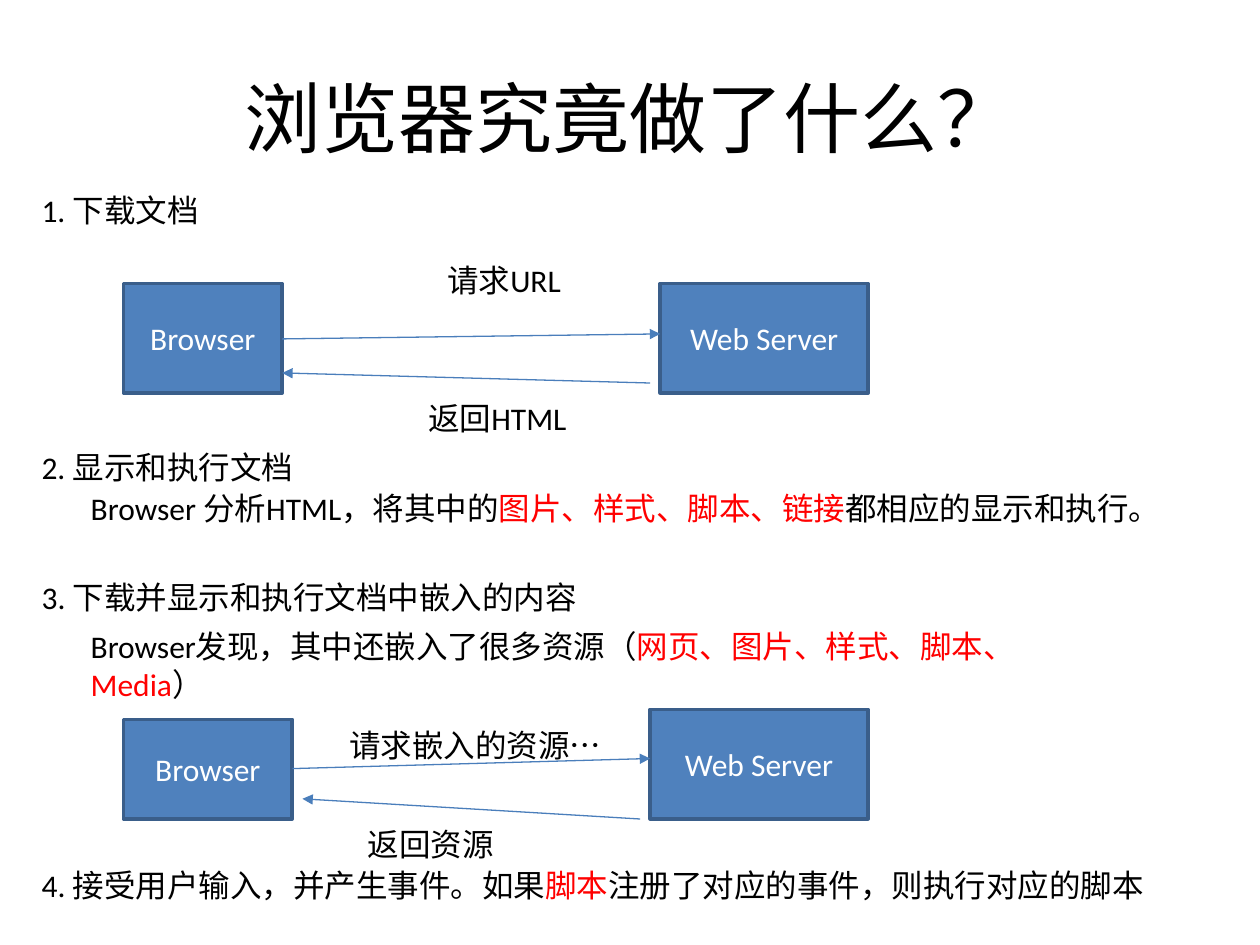
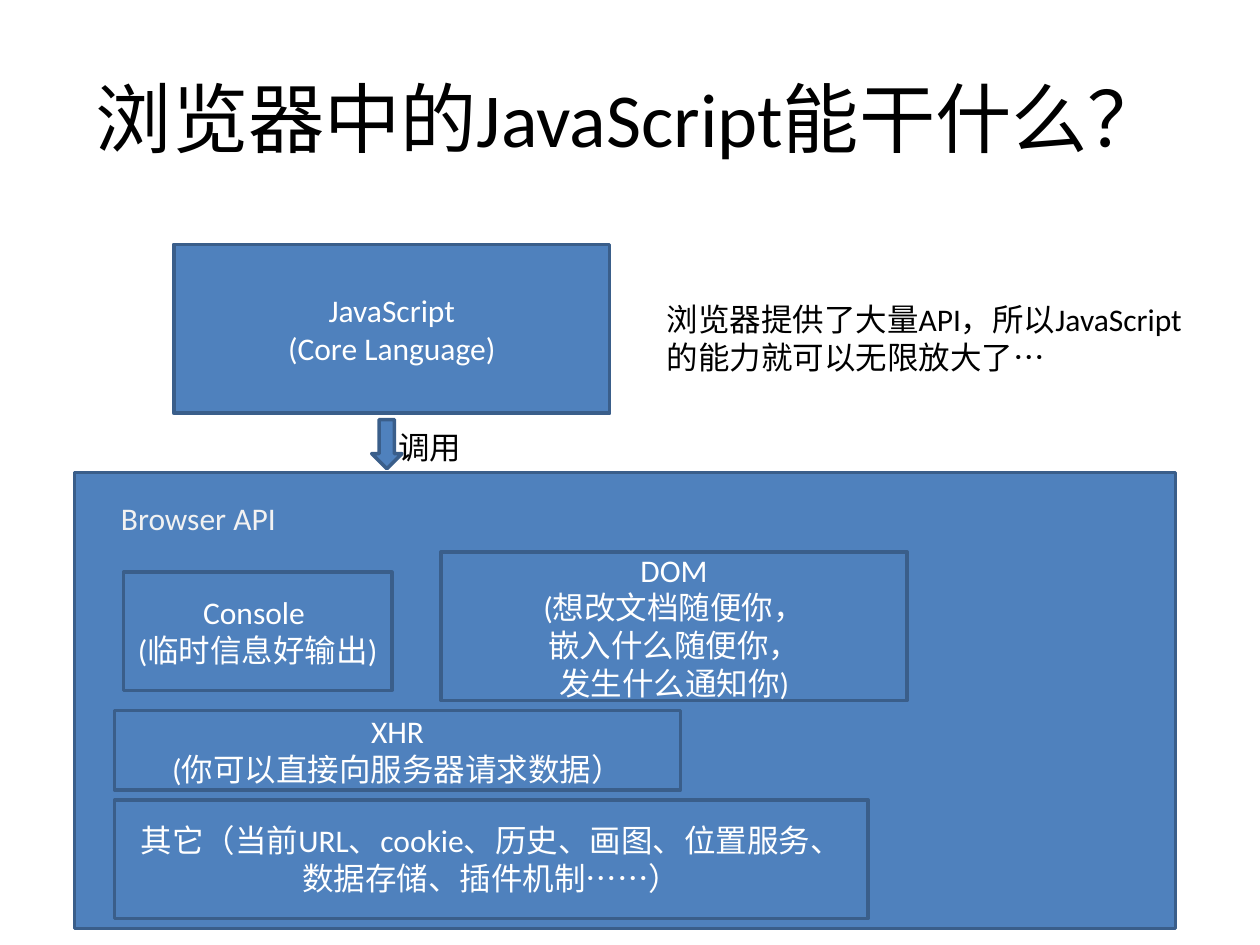
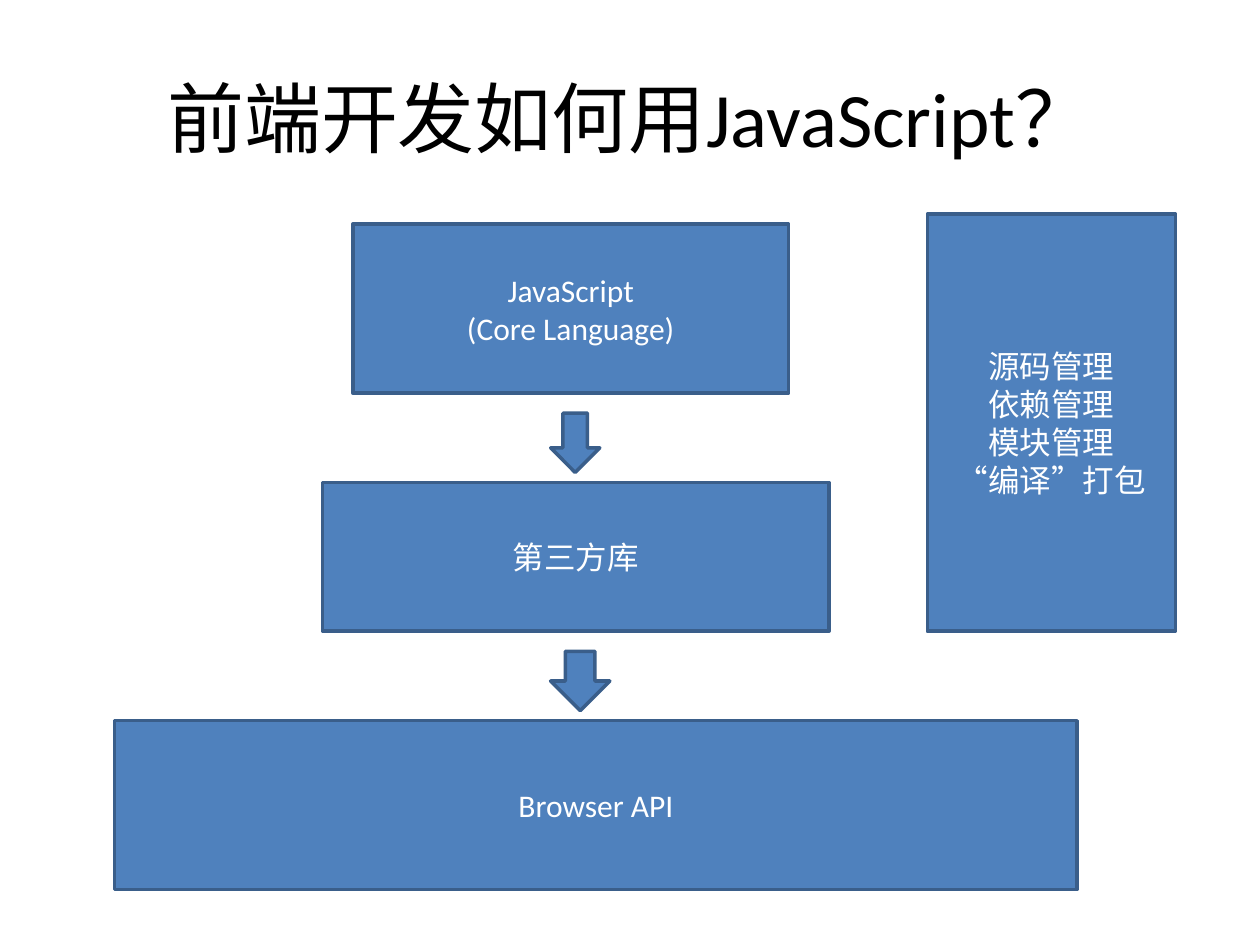
from lxml.etree import SubElement
from pptx import Presentation
from pptx.dml.color import RGBColor
from pptx.enum.shapes import MSO_CONNECTOR, MSO_SHAPE
from pptx.enum.text import MSO_ANCHOR, PP_ALIGN
from pptx.oxml.ns import qn
from pptx.util import Inches, Pt

FONT = "Calibri"
BLUE, EDGE, ARROW = "4F81BD", "3A5E8A", "4A7EBB"
BLACK, WHITE, PALE, RED = "000000", "FFFFFF", "F2F2F2", "FF0000"
CORE = "JavaScript\n(Core Language)"


def color(value):
    """Turn a hex string into a colour."""
    return RGBColor.from_string(value)


def style_span(span, size, ink):
    """Set the font, size and colour of a run."""
    span.font.name = FONT
    span.font.size = Pt(size)
    span.font.color.rgb = color(ink)


def set_margins(frame, margin):
    """Give a text frame equal margins and wrapping."""
    frame.margin_left = frame.margin_right = Inches(margin)
    frame.margin_top = frame.margin_bottom = Inches(margin)
    frame.word_wrap = True


def add_title(page, text, size=44):
    """Add the centred slide title."""
    box = page.shapes.add_textbox(Inches(0.5), Inches(0.3), Inches(9), Inches(1.25))
    frame = box.text_frame
    set_margins(frame, 0.05)
    frame.vertical_anchor = MSO_ANCHOR.MIDDLE
    frame.text = text
    frame.paragraphs[0].alignment = PP_ALIGN.CENTER
    style_span(frame.paragraphs[0].runs[0], size, BLACK)


def add_label(page, left, top, width, *parts, height=0.39, ink=BLACK):
    """Add a text whose every second part is red."""
    box = page.shapes.add_textbox(Inches(left), Inches(top), Inches(width), Inches(height))
    set_margins(box.text_frame, 0.05)
    paragraph = box.text_frame.paragraphs[0]
    for index, part in enumerate(parts):
        span = paragraph.add_run()
        span.text = part
        style_span(span, 18, RED if index % 2 else ink)


def add_block(page, left, top, width, height, text="", kind=MSO_SHAPE.RECTANGLE):
    """Add a blue shape with centred white lines of text."""
    block = page.shapes.add_shape(kind, Inches(left), Inches(top), Inches(width), Inches(height))
    block.shadow.inherit = False
    block.fill.solid()
    block.fill.fore_color.rgb = color(BLUE)
    block.line.color.rgb = color(EDGE)
    block.line.width = Pt(2)
    if text:
        frame = block.text_frame
        set_margins(frame, 0)
        frame.vertical_anchor = MSO_ANCHOR.MIDDLE
        frame.text = text
        for paragraph in frame.paragraphs:
            paragraph.alignment = PP_ALIGN.CENTER
            style_span(paragraph.runs[0], 18, WHITE)


def add_down_arrow(page, left, top, width, height):
    """Add a block arrow that points down."""
    add_block(page, left, top, width, height, kind=MSO_SHAPE.DOWN_ARROW)


def add_arrow(page, start, end):
    """Add a thin arrow from start to end."""
    points = [Inches(value) for value in (*start, *end)]
    arrow = page.shapes.add_connector(MSO_CONNECTOR.STRAIGHT, *points)
    arrow.line.color.rgb = color(ARROW)
    arrow.line.width = Pt(0.75)
    SubElement(arrow.line._get_or_add_ln(), qn("a:tailEnd"), type="triangle")
    SubElement(arrow._element.spPr, qn("a:effectLst"))


def build_steps(page):
    """Show what a browser does, step by step."""
    add_title(page, "浏览器究竟做了什么？")
    add_block(page, 0.98, 2.25, 1.26, 0.87, "Browser")
    add_block(page, 5.24, 2.25, 1.65, 0.87, "Web Server")
    add_arrow(page, (2.24, 2.69), (5.24, 2.65))
    add_arrow(page, (5.16, 3.04), (2.24, 2.96))
    add_label(page, 3.5, 2.02, 1.1, "请求URL")
    add_label(page, 3.35, 3.12, 1.5, "返回HTML")

    add_block(page, 0.98, 5.71, 1.34, 0.79, "Browser")
    add_block(page, 5.16, 5.63, 1.73, 0.87, "Web Server")
    add_arrow(page, (2.32, 6.1), (5.16, 6.02))
    add_arrow(page, (5.08, 6.5), (2.4, 6.34))
    add_label(page, 2.72, 5.71, 2.28, "请求嵌入的资源…")
    add_label(page, 2.87, 6.5, 1.57, "返回资源", height=0.36)

    add_label(page, 0.28, 1.47, 4.57, "1. 下载文档")
    add_label(page, 0.28, 3.51, 2.83, "2. 显示和执行文档")
    add_label(page, 0.67, 3.83, 8.98, "Browser 分析HTML，将其中的",
              "图片、样式、脚本、链接", "都相应的显示和执行。")
    add_label(page, 0.28, 4.54, 5.59, "3. 下载并显示和执行文档中嵌入的内容")
    add_label(page, 0.67, 4.93, 8.27, "Browser发现，其中还嵌入了很多资源（",
              "网页、图片、样式、脚本、Media", "）", height=0.69)
    add_label(page, 0.28, 6.82, 9.29, "4. 接受用户输入，并产生事件。如果",
              "脚本", "注册了对应的事件，则执行对应的脚本")


def build_abilities(page):
    """Show the browser interfaces that the language calls."""
    add_title(page, "浏览器中的JavaScript能干什么？", 43.6)
    add_block(page, 1.38, 1.94, 3.46, 1.34, CORE)
    add_block(page, 0.59, 3.75, 8.74, 3.62)
    add_label(page, 0.91, 3.91, 2.28, "Browser API", height=0.68, ink=PALE)
    add_block(page, 3.5, 4.38, 3.7, 1.18,
              "DOM\n(想改文档随便你，\n嵌入什么随便你，\n发生什么通知你)")
    add_block(page, 0.98, 4.54, 2.13, 0.94, "Console \n(临时信息好输出)")
    add_block(page, 0.91, 6.35, 5.98, 0.94,
              "其它（当前URL、cookie、历史、画图、位置服务、\n数据存储、插件机制……）")
    add_down_arrow(page, 2.95, 3.33, 0.24, 0.39)
    add_label(page, 3.11, 3.35, 2.28, "调用", height=0.36)
    add_label(page, 5.24, 2.33, 4.41,
              "浏览器提供了大量API，所以JavaScript的能力就可以无限放大了…", height=0.69)
    add_block(page, 0.91, 5.64, 4.49, 0.63, "XHR\n(你可以直接向服务器请求数据）")


def build_usage(page):
    """Show the layers of front-end development."""
    add_title(page, "前端开发如何用JavaScript？")
    add_block(page, 2.8, 1.78, 3.46, 1.34, CORE)
    add_down_arrow(page, 4.37, 3.28, 0.39, 0.47)
    add_block(page, 2.56, 3.83, 4.02, 1.18, "第三方库")
    add_down_arrow(page, 4.37, 5.17, 0.47, 0.47)
    add_block(page, 0.91, 5.72, 7.64, 1.34, "Browser API")
    add_block(page, 7.36, 1.7, 1.97, 3.31, "源码管理\n依赖管理\n模块管理\n“编译”打包")


def main():
    """Build and save the deck."""
    deck = Presentation()
    deck.slide_width, deck.slide_height = Inches(10), Inches(7.5)
    for build in (build_steps, build_abilities, build_usage):
        build(deck.slides.add_slide(deck.slide_layouts[6]))
    deck.save("out.pptx")


main()
